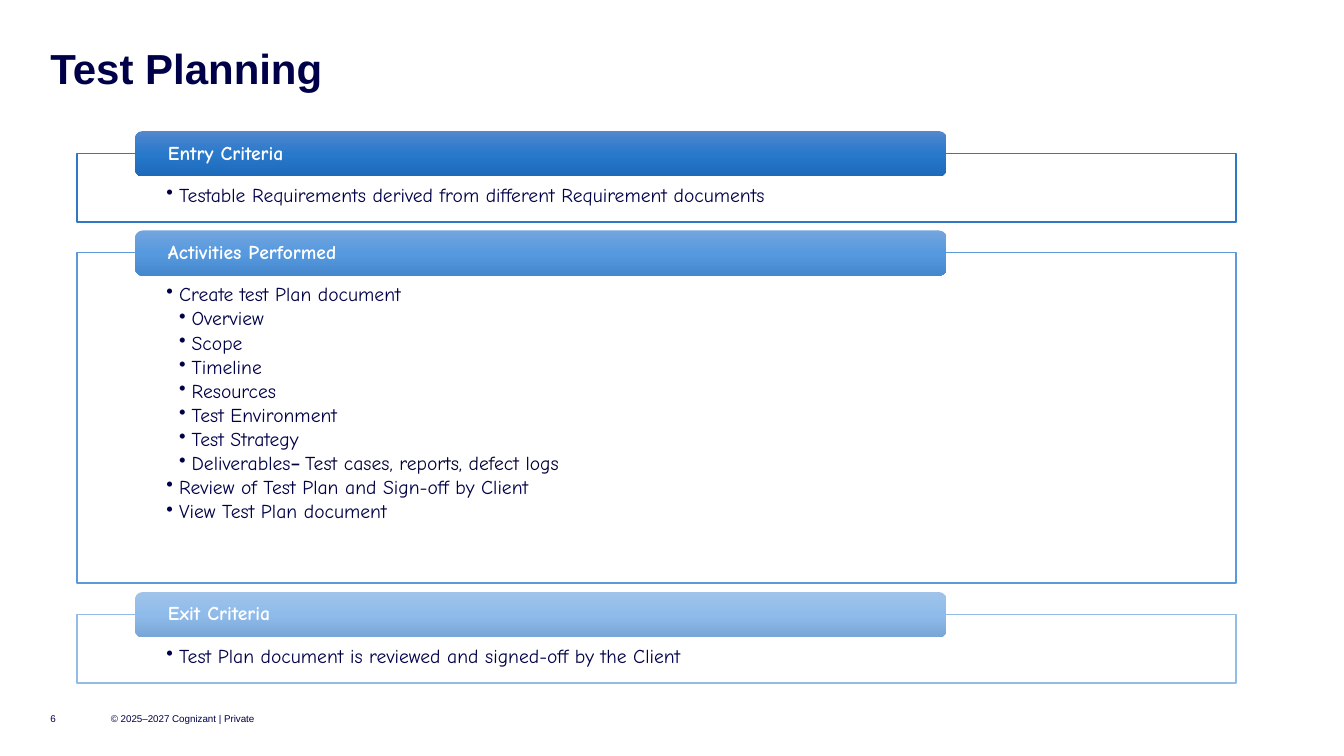
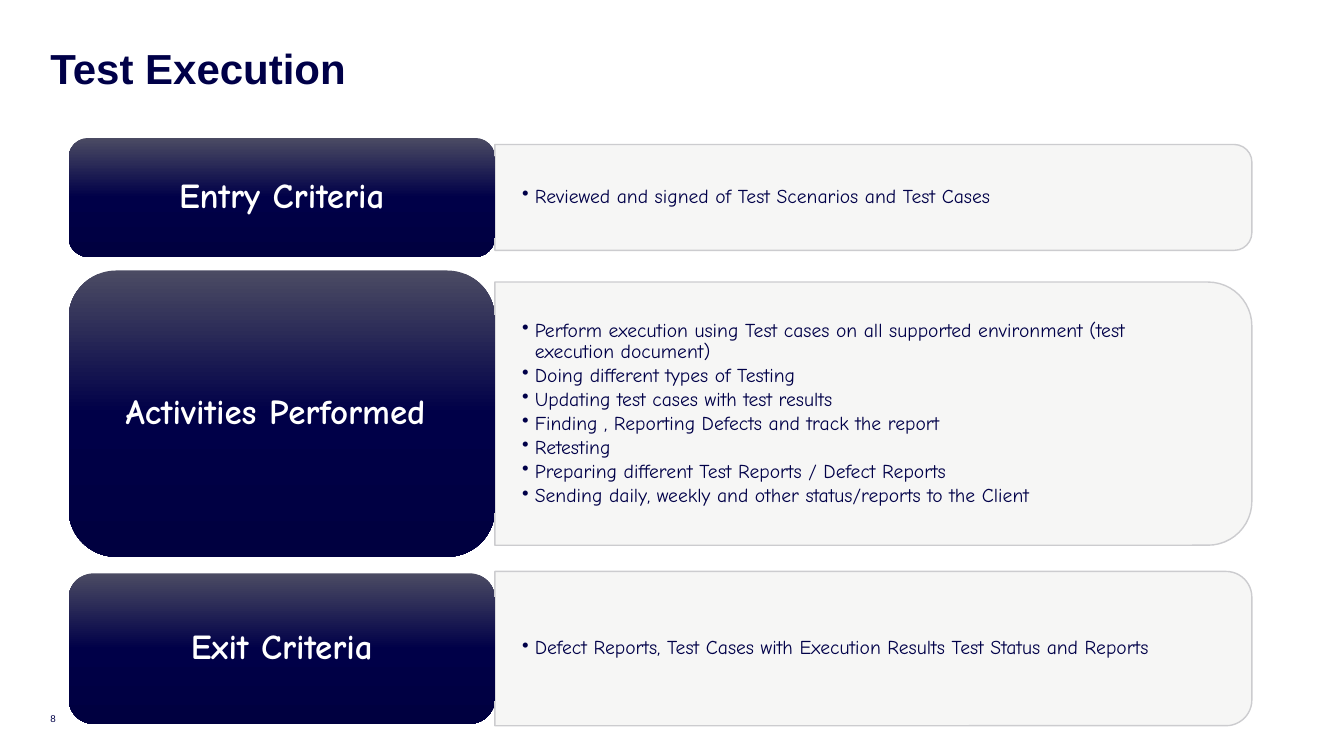
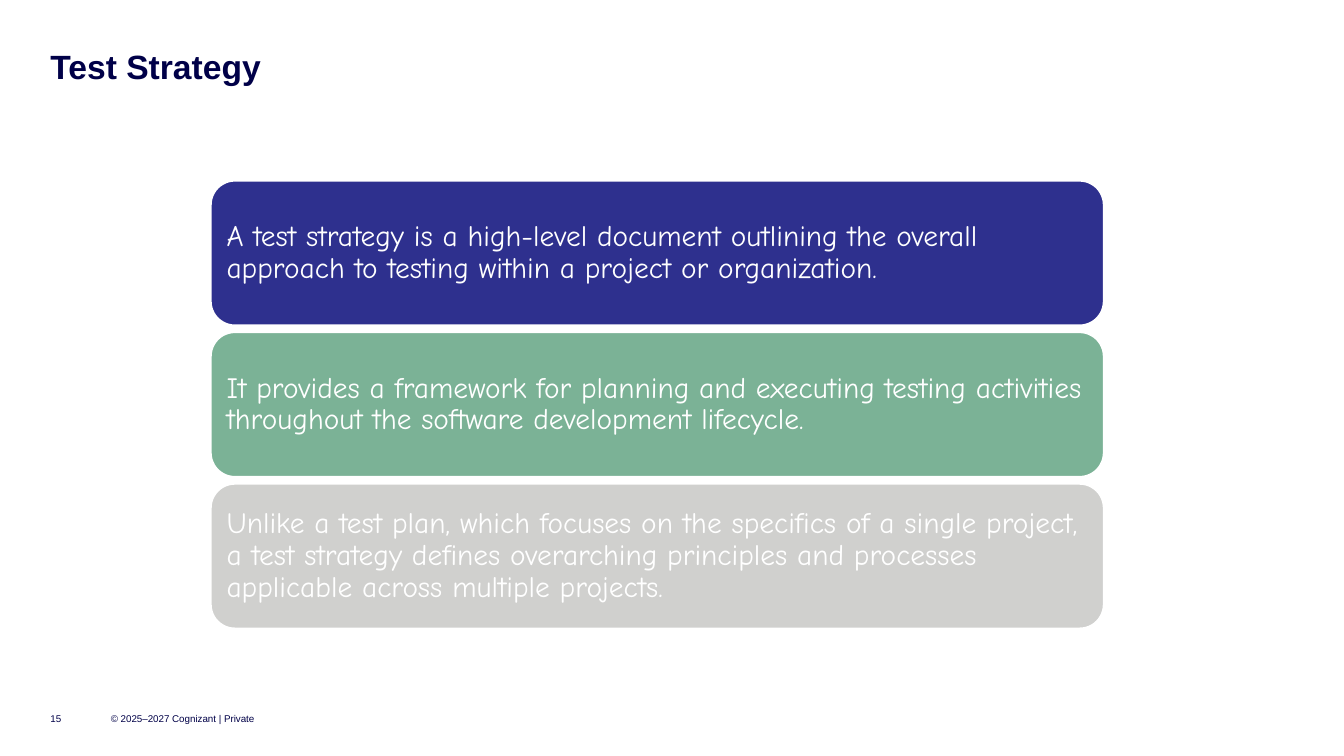
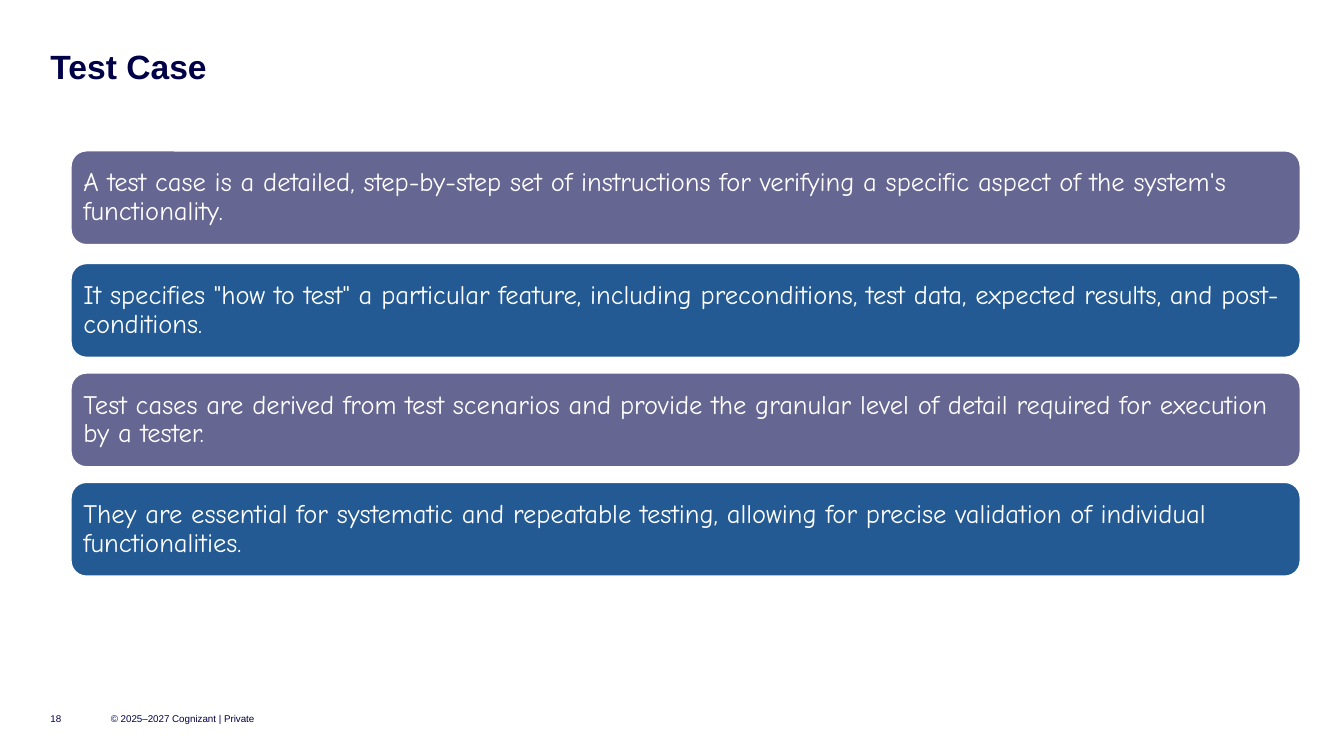
from copy import deepcopy

from pptx import Presentation
from pptx.dml.color import RGBColor
from pptx.enum.shapes import MSO_SHAPE
from pptx.enum.text import MSO_ANCHOR, MSO_AUTO_SIZE, PP_ALIGN
from pptx.oxml.ns import qn
from pptx.util import Pt

RECTANGLE = MSO_SHAPE.RECTANGLE
ROUNDED = MSO_SHAPE.ROUNDED_RECTANGLE
TWO_ROUNDED = MSO_SHAPE.ROUND_2_SAME_RECTANGLE
TOP, MIDDLE = MSO_ANCHOR.TOP, MSO_ANCHOR.MIDDLE
LEFT, CENTER = PP_ALIGN.LEFT, PP_ALIGN.CENTER

NAVY, WHITE = "000048", "FFFFFF"
PANEL_FILL, PANEL_LINE = "F6F6F5", "CCCCCF"
LABEL_GRADIENT = ("4B4B63", "000048", "000040")
HEADING_FONT, BODY_FONT = "Arial", "Comic Neue"
COPYRIGHT = "© 2025–2027 Cognizant | Private"
INDENT = 9

PLANNING = [
    {"heading": "Entry Criteria", "top": 109.5, "height": 49, "line": "2F78C4",
     "gradient": ("5488CE", "2878CB", "1D6ABB"),
     "bullets": [(1, "Testable Requirements derived from different Requirement documents")]},
    {"heading": "Activities Performed", "top": 180.5, "height": 236, "line": "5D99D9",
     "gradient": ("73A5DE", "5699DF", "4688CD"),
     "bullets": [
         (1, "Create test Plan document"),
         (2, "Overview"),
         (2, "Scope"),
         (2, "Timeline"),
         (2, "Resources"),
         (2, "Test Environment"),
         (2, "Test Strategy"),
         (2, [("Deliverables", {}),
              ("– ", {"font": "Cabin", "color": "000036"}),
              ("Test cases, reports, defect logs", {"color": "000036"})]),
         (1, "Review of Test Plan and Sign-off by Client"),
         (1, "View Test Plan document"),
     ]},
    {"heading": "Exit Criteria", "top": 438.75, "height": 49, "line": "92BBE6",
     "gradient": ("A0C3EA", "8EBBEA", "79A6D6"),
     "bullets": [(1, "Test Plan document is reviewed and signed-off by the Client")]},
]

EXECUTION = [
    {"label": "Entry Criteria", "middle": 141, "label_height": 85, "panel_height": 75.6,
     "bullets": ["Reviewed and signed of Test Scenarios and Test Cases"]},
    {"label": "Activities Performed ", "middle": 295.5, "label_height": 204.5, "panel_height": 188,
     "bullets": [
         "Perform execution using Test cases on all supported environment (test execution document)",
         "Doing different types of Testing",
         "Updating test cases with test results",
         "Finding , Reporting Defects and track the report",
         "Retesting",
         "Preparing different Test Reports / Defect Reports",
         "Sending daily, weekly and other status/reports to the Client",
     ]},
    {"label": "Exit Criteria", "middle": 463.3, "label_height": 107.5, "panel_height": 110.2,
     "bullets": ["Defect Reports, Test Cases with Execution Results Test Status and Reports"]},
]

STRATEGY = [
    (129, "2E308E", "A test strategy is a high-level document outlining the overall approach "
     "to testing within a project or organization."),
    (237.2, "7BB296", "It provides a framework for planning and executing testing activities "
     "throughout the software development lifecycle."),
    (345.5, "D0D0CE", "Unlike a test plan, which focuses on the specifics of a single project, "
     "a test strategy defines overarching principles and processes applicable across "
     "multiple projects."),
]

TEST_CASE = [
    (107.5, "666692", "A test case is a detailed, step-by-step set of instructions for verifying "
     "a specific aspect of the system's functionality."),
    (188, "235A93", "It specifies \"how to test\" a particular feature, including preconditions, "
     "test data, expected results, and post-conditions."),
    (266.2, "666692", "Test cases are derived from test scenarios and provide the granular level "
     "of detail required for execution by a tester."),
    (344.3, "235A93", "They are essential for systematic and repeatable testing, allowing for "
     "precise validation of individual functionalities."),
]


def rgb(value):
    return RGBColor.from_string(value)


def write(shape, paragraphs, size, font=BODY_FONT, color=NAVY, bold=False, align=LEFT,
          anchor=MIDDLE, insets=(0, 0, 0, 0), spacing=0.9, after=0):
    frame = shape.text_frame
    frame.word_wrap = True
    frame.auto_size = MSO_AUTO_SIZE.NONE
    frame.vertical_anchor = anchor
    (frame.margin_left, frame.margin_top,
     frame.margin_right, frame.margin_bottom) = [Pt(inset) for inset in insets]
    if isinstance(paragraphs, str):
        paragraphs = [(0, paragraphs)]
    for index, (level, runs) in enumerate(paragraphs):
        paragraph = frame.add_paragraph() if index else frame.paragraphs[0]
        if level:
            properties = paragraph._p.get_or_add_pPr()
            properties.set("marL", str(Pt(INDENT * level)))
            properties.set("indent", str(-Pt(INDENT)))
            properties.makeelement(qn("a:buChar"), {"char": "•"})
            properties.append(properties.makeelement(qn("a:buChar"), {"char": "•"}))
            paragraph.level = level
        paragraph.alignment = align
        paragraph.line_spacing = spacing
        paragraph.space_before = Pt(0)
        paragraph.space_after = Pt(round(size * after, 2))
        for text, changes in [(runs, {})] if isinstance(runs, str) else runs:
            run = paragraph.add_run()
            run.text = text
            run.font.name = changes.get("font", font)
            run.font.size = Pt(size)
            run.font.bold = bold
            run.font.color.rgb = rgb(changes.get("color", color))


def add_text(slide, box, text, **text_format):
    write(slide.shapes.add_textbox(*map(Pt, box)), text, **text_format)


def add_box(slide, kind, box, fill, line=None, line_width=1):
    shape = slide.shapes.add_shape(kind, *map(Pt, box))
    shape.shadow.inherit = False
    if isinstance(fill, tuple):
        shape.fill.gradient()
        shape.fill.gradient_angle = 270
        stops = shape._element.spPr.find(".//" + qn("a:gsLst"))
        stops.append(deepcopy(stops[0]))
        for index, (stop, color) in enumerate(zip(shape.fill.gradient_stops, fill)):
            stop.position = index / 2
            stop.color.rgb = rgb(color)
    else:
        shape.fill.solid()
        shape.fill.fore_color.rgb = rgb(fill)
    if line:
        shape.line.color.rgb = rgb(line)
        shape.line.width = Pt(line_width)
    else:
        shape.line.fill.background()
    return shape


def add_slide(presentation, title, number, title_size, title_top, copyright_line=True):
    slide = presentation.slides.add_slide(presentation.slide_layouts[5])
    heading = slide.shapes.title
    heading.left, heading.top, heading.width, heading.height = map(
        Pt, (36, title_top, 888, title_size * 1.08))
    write(heading, title, title_size, font=HEADING_FONT, bold=True, anchor=TOP)
    footer = {"size": 7, "font": HEADING_FONT, "spacing": 1}
    if copyright_line:
        add_text(slide, (79.2, 504, 108, 18), COPYRIGHT, **footer)
    add_text(slide, (36, 504, 28.8, 18), number, **footer)
    return slide


def add_planning(slide):
    for section in PLANNING:
        top = section["top"]
        body = add_box(slide, RECTANGLE, (54.9, top, 828, section["height"]), WHITE, section["line"])
        write(body, section["bullets"], 14, anchor=TOP, insets=(64, 23, 64, 8), after=0.15)
        header = add_box(slide, ROUNDED, (96.5, top - 15.9, 579.6, 32.4), section["gradient"])
        write(header, section["heading"], 14, color=WHITE, bold=True,
              insets=(21.9, 0, 21.9, 0), after=0.35)


def add_execution(slide):
    label_left, label_width, panel_width = 49, 304.5, 540.7
    panel_left = label_left + label_width
    for row in EXECUTION:
        middle, height = row["middle"], row["panel_height"]
        panel = add_box(slide, TWO_ROUNDED,
                        (panel_left + (panel_width - height) / 2, middle - panel_width / 2,
                         height, panel_width), PANEL_FILL, PANEL_LINE)
        panel.rotation = 90
        add_text(slide, (panel_left, middle - height / 2, panel_width - height * 0.05, height),
                 [(1, bullet) for bullet in row["bullets"]], size=14,
                 insets=(19.5, 10, 19.5, 10), after=0.15)
        label_height = row["label_height"]
        label = add_box(slide, ROUNDED,
                        (label_left, middle - label_height / 2, label_width, label_height),
                        LABEL_GRADIENT)
        write(label, row["label"], 25, color=WHITE, bold=True, align=CENTER,
              insets=(7.5, 3.75, 7.5, 3.75), after=0.35)


def add_statements(slide, statements, left, width, height, size, inset):
    for top, fill, text in statements:
        bar = add_box(slide, ROUNDED, (left, top, width, height), fill, WHITE, 1.5)
        write(bar, text, size, color=WHITE, insets=(inset,) * 4, after=0.35)


def main():
    presentation = Presentation()
    presentation.slide_width, presentation.slide_height = Pt(960), Pt(540)
    add_planning(add_slide(presentation, "Test Planning", "6", 30, 34.5))
    add_execution(add_slide(presentation, "Test Execution", "8", 30, 34.5, copyright_line=False))
    add_statements(add_slide(presentation, "Test Strategy", "15", 24, 36),
                   STRATEGY, 150.5, 638, 103.5, 21, 6.3)
    add_statements(add_slide(presentation, "Test Case", "18", 24, 36),
                   TEST_CASE, 50.5, 878.5, 67.5, 19, 5.7)
    presentation.save("out.pptx")


if __name__ == "__main__":
    main()
